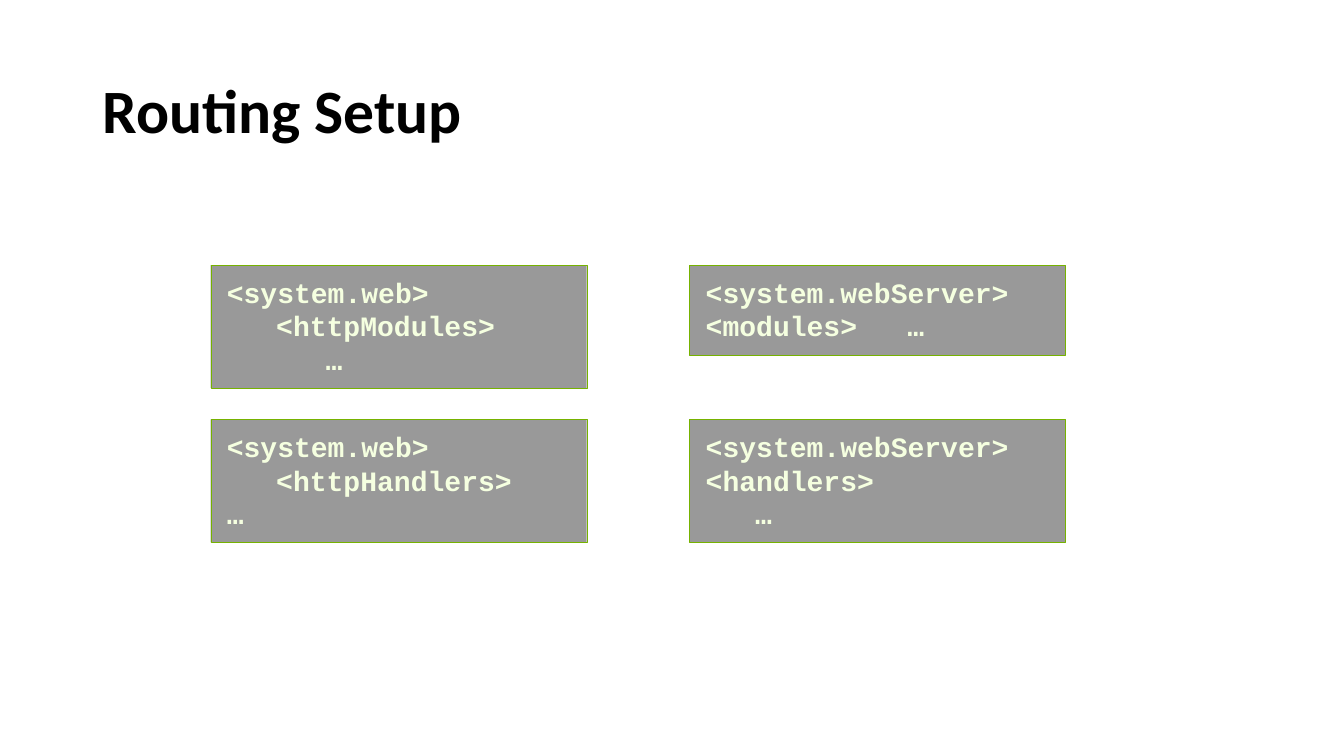
from lxml import etree
from pptx import Presentation
from pptx.dml.color import RGBColor
from pptx.enum.shapes import MSO_SHAPE
from pptx.enum.text import MSO_ANCHOR, PP_ALIGN
from pptx.oxml.ns import qn
from pptx.util import Inches, Pt

RECTANGLE = MSO_SHAPE.RECTANGLE
MIDDLE, TOP = MSO_ANCHOR.MIDDLE, MSO_ANCHOR.TOP
LEFT = PP_ALIGN.LEFT

BLACK = RGBColor(0x00, 0x00, 0x00)
GREEN = RGBColor(0x76, 0xB2, 0x00)
CREAM = RGBColor(0xF5, 0xFF, 0xE0)

TITLE_FONT = {"name": "Calibri", "size": Pt(44), "bold": True}
CODE_FONT = {"name": "Courier New", "size": Pt(20), "bold": True}
CODE_FRAME = {
    "word_wrap": True,
    "vertical_anchor": TOP,
    "margin_left": Inches(0.16),
    "margin_right": Inches(0.16),
    "margin_top": Inches(0.1),
    "margin_bottom": Inches(0.12),
}
FILL_ALPHA = 40
INDENT = 0.49
TAB_STOP = 3.2

COLUMN_LEFT, COLUMN_STEP = 2.09, 4.75
ROW_TOP, ROW_STEP = 2.63, 1.53
BOX_WIDTH, TALL, SHORT = 3.73, 1.22, 0.89

# Each line is an indent level and its text.
CODE_BOXES = [
    (0, 0, TALL, [(0, "<system.web>"), (1, "<httpModules>"), (2, "…")]),
    (0, 1, TALL, [(0, "<system.web>"), (1, "<httpHandlers>"), (0, "…")]),
    (1, 0, SHORT, [(0, "<system.webServer>"), (0, "<modules>\t…")]),
    (1, 1, TALL, [(0, "<system.webServer>"), (0, "<handlers>"), (1, "…")]),
]


def apply_format(target, values):
    """Set every attribute in values on target."""
    for name, value in values.items():
        setattr(target, name, value)


def add_span(para, text, font, color):
    """Add formatted text to a paragraph."""
    span = para.add_run()
    span.text = text
    apply_format(span.font, font)
    span.font.color.rgb = color


def add_title(page, left, top, width, height, text):
    """Place the slide title, centred vertically in its box."""
    box = page.shapes.add_textbox(*map(Inches, (left, top, width, height)))
    frame = box.text_frame
    apply_format(frame, {"word_wrap": True, "vertical_anchor": MIDDLE})
    para = frame.paragraphs[0]
    para.line_spacing = 0.9
    add_span(para, text, TITLE_FONT, BLACK)


def set_indent(para, level):
    """Indent a paragraph and give it the tab stop of the code boxes."""
    properties = para._p.get_or_add_pPr()
    properties.set("marL", str(Inches(level * INDENT)))
    properties.set("indent", "0")
    stops = etree.SubElement(properties, qn("a:tabLst"))
    etree.SubElement(stops, qn("a:tab"), pos=str(Inches(TAB_STOP)), algn="l")


def add_code_box(page, left, top, width, height, lines):
    """Place a translucent box holding indented lines of code."""
    box = page.shapes.add_shape(RECTANGLE, *map(Inches, (left, top, width, height)))
    box.shadow.inherit = False
    box.fill.solid()
    box.fill.fore_color.rgb = BLACK
    color = box._element.spPr.find(qn("a:solidFill"))[0]
    etree.SubElement(color, qn("a:alpha"), val=str(FILL_ALPHA * 1000))
    box.line.color.rgb = GREEN
    box.line.width = Pt(0.25)
    frame = box.text_frame
    apply_format(frame, CODE_FRAME)
    for number, (level, text) in enumerate(lines):
        para = frame.add_paragraph() if number else frame.paragraphs[0]
        para.alignment = LEFT
        set_indent(para, level)
        add_span(para, text, CODE_FONT, CREAM)


def main():
    """Build the routing slide and save it."""
    deck = Presentation()
    deck.slide_width, deck.slide_height = Inches(13.33), Inches(7.5)
    page = deck.slides.add_slide(deck.slide_layouts[6])
    add_title(page, 0.92, 0.4, 11.5, 1.45, "Routing Setup")
    for column, row, height, lines in CODE_BOXES:
        left = COLUMN_LEFT + column * COLUMN_STEP
        top = ROW_TOP + row * ROW_STEP
        add_code_box(page, left, top, BOX_WIDTH, height, lines)
    deck.save("out.pptx")


if __name__ == "__main__":
    main()
